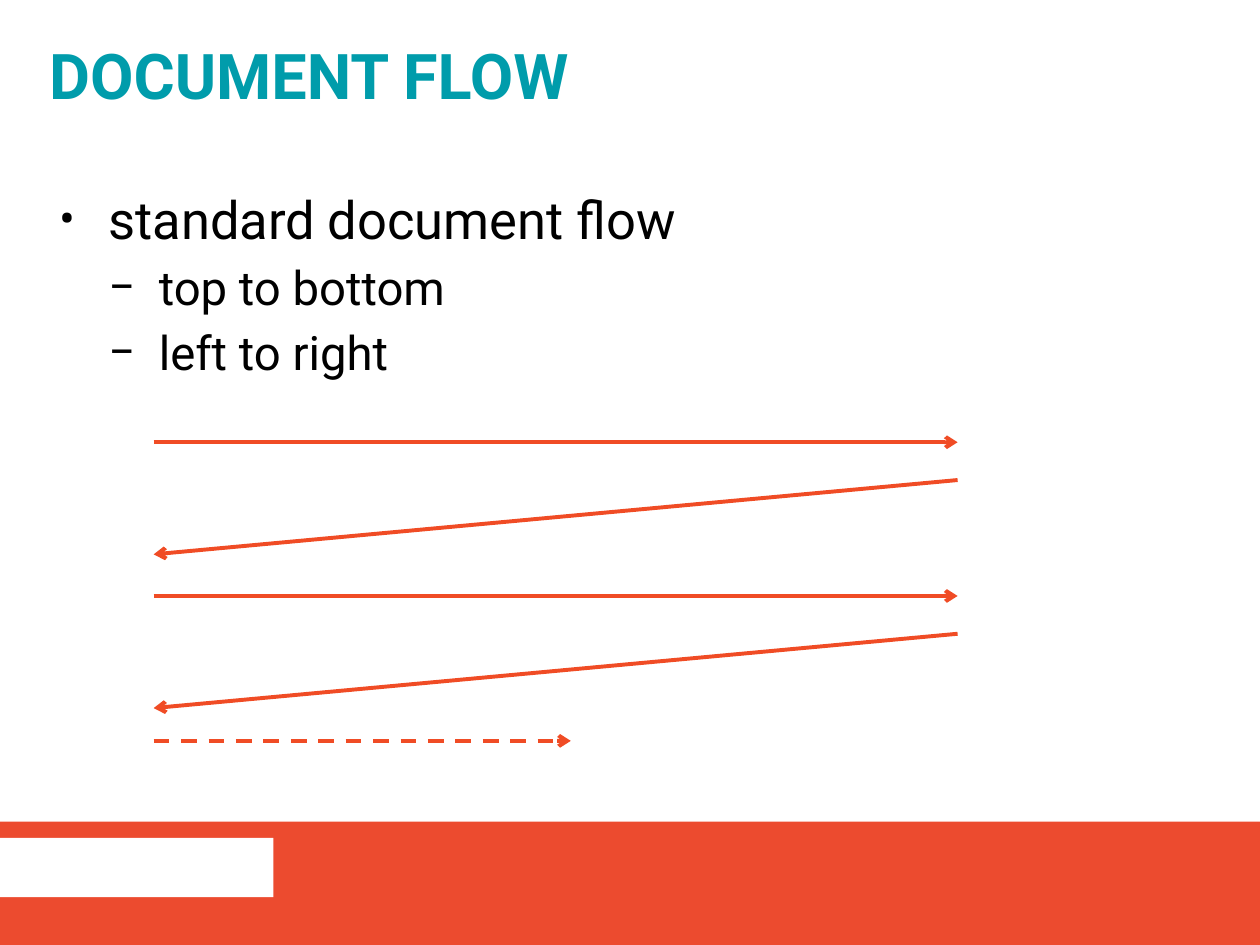
import pptx
import pptx.util
import pptx.dml.color
import pptx.enum.dml
import pptx.enum.shapes
import pptx.enum.text
import pptx.oxml.ns
import lxml.etree

Inches = pptx.util.Inches
Pt = pptx.util.Pt
RGBColor = pptx.dml.color.RGBColor
qn = pptx.oxml.ns.qn

TEAL = RGBColor(0x00, 0x9C, 0xAB)
BLACK = RGBColor(0x00, 0x00, 0x00)
WHITE = RGBColor(0xFF, 0xFF, 0xFF)
RED = RGBColor(0xEC, 0x4B, 0x2F)
ORANGE = RGBColor(0xF0, 0x4C, 0x25)
FONT = "Roboto"

TITLE = "DOCUMENT FLOW"
BULLETS = [
    (0, "standard document flow"),
    (1, "top to bottom"),
    (1, "left to right"),
]
LEVELS = [
    {"size": 30, "left": 0.39, "hanging": 0.39, "mark": "•", "scale": 90},
    {"size": 27, "left": 0.79, "hanging": 0.4, "mark": "−", "scale": 100},
]
BARS = [
    (0, 6.52, 10, 0.98, RED),
    (0, 6.65, 2.17, 0.47, WHITE),
]
FLOW_LEFT, FLOW_RIGHT, LAST_RIGHT = 1.22, 7.6, 4.53
FLOW_TOP, ROW_PITCH, ROWS = 3.51, 1.22, 2
RETURN_START, RETURN_END = 0.3, 0.89
LAST_TOP = 5.88


def place(box, left, top, width, height):
    box.left, box.top = Inches(left), Inches(top)
    box.width, box.height = Inches(width), Inches(height)


def set_frame(box, margins, anchor):
    frame = box.text_frame
    frame.word_wrap = True
    frame.auto_size = pptx.enum.text.MSO_AUTO_SIZE.NONE
    frame.vertical_anchor = anchor
    (frame.margin_left, frame.margin_top,
     frame.margin_right, frame.margin_bottom) = map(Inches, margins)
    return frame


def add_text(para, text, size, color, bold=False):
    para.alignment = pptx.enum.text.PP_ALIGN.LEFT
    span = para.add_run()
    span.text = text
    span.font.name = FONT
    span.font.size = Pt(size)
    span.font.bold = bold
    span.font.color.rgb = color


def add_bullet(para, level):
    properties = para._p.get_or_add_pPr()
    properties.set("marL", str(Inches(level["left"])))
    properties.set("indent", str(-Inches(level["hanging"])))
    for tag, name, value in [
        ("a:buSzPct", "val", str(level["scale"] * 1000)),
        ("a:buFont", "typeface", FONT),
        ("a:buChar", "char", level["mark"]),
    ]:
        lxml.etree.SubElement(properties, qn(tag)).set(name, value)


def add_arrow(page, start, end, dashed=False):
    arrow = page.shapes.add_connector(
        pptx.enum.shapes.MSO_CONNECTOR.STRAIGHT, *map(Inches, start + end))
    arrow.line.color.rgb = ORANGE
    arrow.line.width = Pt(2.25)
    if dashed:
        arrow.line.dash_style = pptx.enum.dml.MSO_LINE.DASH
    outline = arrow.line._get_or_add_ln()
    lxml.etree.SubElement(outline, qn("a:tailEnd")).set("type", "arrow")
    lxml.etree.SubElement(arrow._element.spPr, qn("a:effectLst"))


deck = pptx.Presentation()
deck.slide_width, deck.slide_height = Inches(10), Inches(7.5)
page = deck.slides.add_slide(deck.slide_layouts[1])

title = page.shapes.title
place(title, 0, 0, 10, 1.25)
frame = set_frame(title, (0.39, 0.2, 0.39, 0.16), pptx.enum.text.MSO_ANCHOR.MIDDLE)
frame.paragraphs[0].line_spacing = 0.8
add_text(frame.paragraphs[0], TITLE, 36, TEAL, bold=True)

body = page.placeholders[1]
place(body, 0, 1.26, 10, 4.84)
frame = set_frame(body, (0.47, 0.28, 0.47, 0), pptx.enum.text.MSO_ANCHOR.TOP)
for index, (depth, text) in enumerate(BULLETS):
    para = frame.add_paragraph() if index else frame.paragraphs[0]
    para.level = depth
    para.line_spacing = 0.9
    para.space_before = para.space_after = Pt(4)
    add_bullet(para, LEVELS[depth])
    add_text(para, text, LEVELS[depth]["size"], BLACK)

for left, top, width, height, color in BARS:
    bar = page.shapes.add_shape(
        pptx.enum.shapes.MSO_SHAPE.RECTANGLE,
        *map(Inches, (left, top, width, height)))
    bar.shadow.inherit = False
    bar.fill.solid()
    bar.fill.fore_color.rgb = color
    bar.line.fill.background()

for row in range(ROWS):
    top = FLOW_TOP + row * ROW_PITCH
    add_arrow(page, (FLOW_LEFT, top), (FLOW_RIGHT, top))
    add_arrow(page, (FLOW_RIGHT, top + RETURN_START), (FLOW_LEFT, top + RETURN_END))
add_arrow(page, (FLOW_LEFT, LAST_TOP), (LAST_RIGHT, LAST_TOP), dashed=True)

deck.save("out.pptx")
